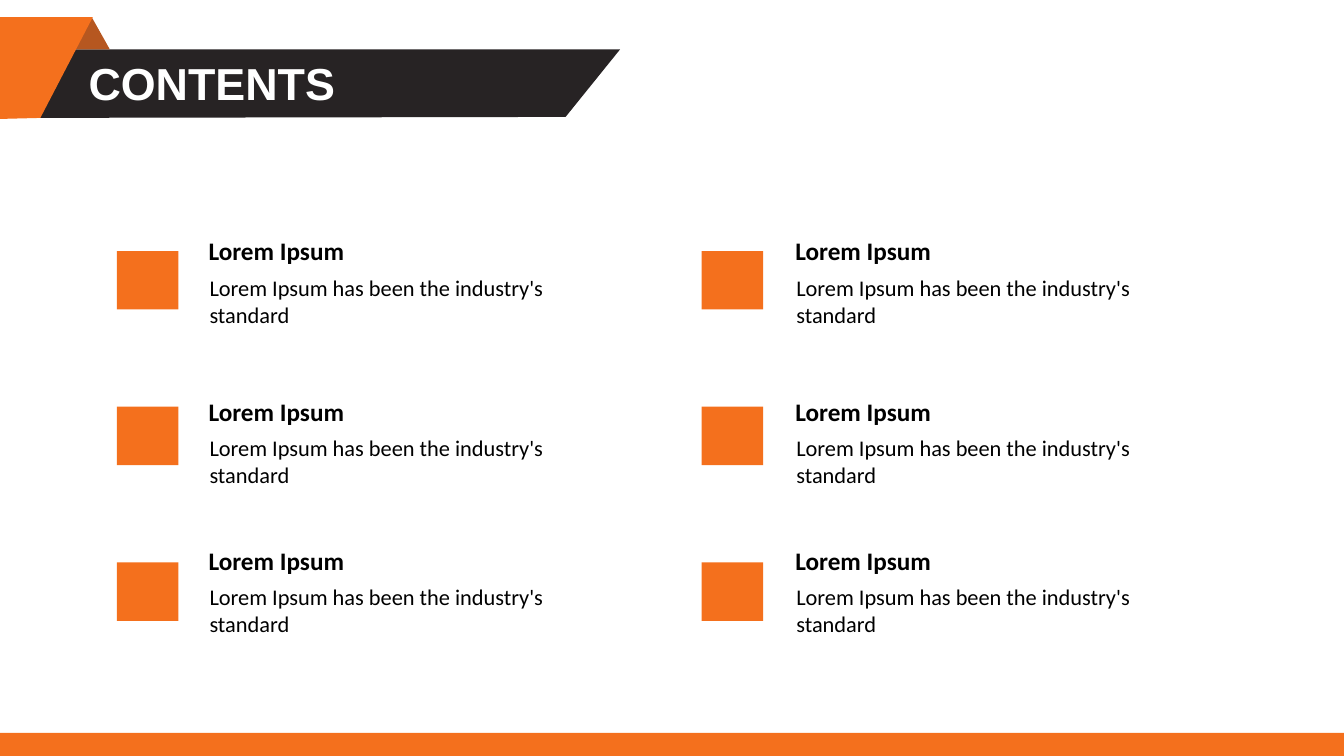
from dataclasses import dataclass

from pptx import Presentation
from pptx.dml.color import RGBColor
from pptx.enum.shapes import MSO_SHAPE
from pptx.enum.text import MSO_ANCHOR, MSO_AUTO_SIZE
from pptx.util import Inches, Pt


@dataclass(frozen=True)
class Theme:
    orange: str = "F4701D"
    rust: str = "B65720"
    dark: str = "272324"
    white: str = "FFFFFF"
    black: str = "000000"
    title: int = 32
    head: int = 18
    body: int = 16


THEME = Theme()


def paint(shape, color):
    shape.shadow.inherit = False
    shape.fill.solid()
    shape.fill.fore_color.rgb = RGBColor.from_string(color)
    shape.line.fill.background()


def add_block(slide, kind, box, color):
    shape = slide.shapes.add_shape(kind, *map(Inches, box))
    paint(shape, color)


def add_outline(slide, left, top, points, color):
    start, *rest = [(Inches(left + x), Inches(top + y)) for x, y in points]
    pen = slide.shapes.build_freeform(*start, scale=1.0)
    pen.add_line_segments(rest, close=True)
    paint(pen.convert_to_shape(), color)


def add_text(slide, box, lines, color, font, frame, spacing=None):
    text = slide.shapes.add_textbox(*map(Inches, box)).text_frame
    for name, value in frame.items():
        setattr(text, name, value)
    for i, line in enumerate(lines):
        para = text.paragraphs[0] if i == 0 else text.add_paragraph()
        para.line_spacing = spacing
        run = para.add_run()
        run.text = line
        run.font.color.rgb = RGBColor.from_string(color)
        for name, value in font.items():
            setattr(run.font, name, value)


def add_banner(slide, left, top):
    band = [(0.25, 0.32), (6.15, 0.32), (5.61, 0.99), (0.25, 1)]
    flap = [(0, 0), (0.92, 0), (0.4, 1), (0, 1.01)]
    add_outline(slide, left, top, band, THEME.dark)
    add_block(slide, MSO_SHAPE.ISOSCELES_TRIANGLE,
              (left + 0.73, top, 0.36, 0.32), THEME.rust)
    add_outline(slide, left, top, flap, THEME.orange)
    font = {"name": "Arial", "size": Pt(THEME.title), "bold": True}
    frame = {"word_wrap": True, "vertical_anchor": MSO_ANCHOR.BOTTOM}
    add_text(slide, (left + 0.78, top + 0.3, 3.64, 0.67), ["CONTENTS"],
             THEME.white, font, frame, 0.9)


def add_topic(slide, left, top, head, lines):
    frame = {"word_wrap": False, "auto_size": MSO_AUTO_SIZE.SHAPE_TO_FIT_TEXT}
    bold = {"name": "Calibri", "size": Pt(THEME.head), "bold": True}
    plain = {"name": "Calibri", "size": Pt(THEME.body)}
    add_text(slide, (left, top, 1.56, 0.4), [head], THEME.black, bold, frame)
    add_text(slide, (left + 0.01, top + 0.38, 3.55, 0.64), lines,
             THEME.black, plain, frame)


def add_topics(slide, left, top):
    head = "Lorem Ipsum"
    lines = ["Lorem Ipsum has been the industry's", "standard"]
    for col in range(2):
        for row, drop in enumerate((0, 1.59, 3.07)):
            add_block(slide, MSO_SHAPE.RECTANGLE,
                      (left + 5.8 * col, top + 0.2 + 1.545 * row, 0.61, 0.58),
                      THEME.orange)
            add_topic(slide, left + 0.81 + 5.82 * col, top + drop, head, lines)


def main():
    deck = Presentation()
    deck.slide_width, deck.slide_height = Inches(13.33), Inches(7.5)
    slide = deck.slides.add_slide(deck.slide_layouts[6])
    add_banner(slide, 0, 0.17)
    add_block(slide, MSO_SHAPE.RECTANGLE, (0, 7.27, 13.33, 0.23), THEME.orange)
    add_topics(slide, 1.16, 2.29)
    deck.save("out.pptx")


if __name__ == "__main__":
    main()
